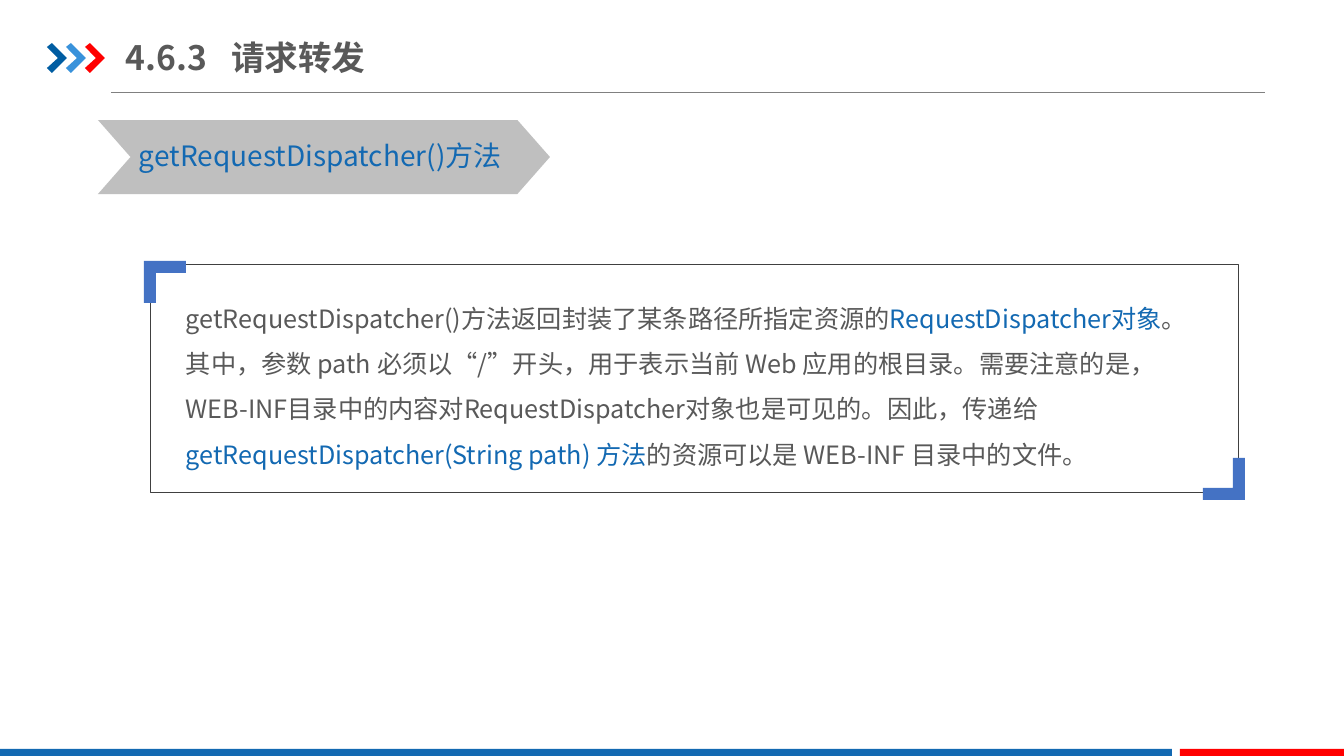
import pptx
import pptx.util
import pptx.dml.color
import pptx.enum.shapes
import pptx.enum.text
import pptx.oxml.ns
import lxml.etree

RGBColor = pptx.dml.color.RGBColor
Kind = pptx.enum.shapes.MSO_SHAPE
Anchor = pptx.enum.text.MSO_ANCHOR
Align = pptx.enum.text.PP_ALIGN
Fit = pptx.enum.text.MSO_AUTO_SIZE

BLUE = RGBColor(0x13, 0x69, 0xB2)
NAVY = RGBColor(0x00, 0x5D, 0xA2)
SKY = RGBColor(0x39, 0x92, 0xDB)
RED = RGBColor(0xFF, 0x00, 0x00)
ROYAL = RGBColor(0x44, 0x72, 0xC4)
SILVER = RGBColor(0xBF, 0xBF, 0xBF)
GREY = RGBColor(0x80, 0x80, 0x80)
INK = RGBColor(0x59, 0x59, 0x59)
DARK = RGBColor(0x40, 0x40, 0x40)

FONT = "Noto Sans CJK SC"
SCALE = 914400 / 100.8

ARROW = [(0, 4), (5, 0), (20, 15), (5, 30), (0, 25), (11, 15)]
CORNER = [(0, 0), (42, 0), (42, 12), (12, 12), (12, 42), (0, 42)]

BODY = [
    ("getRequestDispatcher()方法返回封装了某条路径所指定资源的", INK),
    ("RequestDispatcher对象", BLUE),
    ("。其中，参数 path 必须以“/”开头，用于表示当前 Web 应用的根目录。"
     "需要注意的是，WEB-INF目录中的内容对RequestDispatcher对象也是可见的。"
     "因此，传递给 ", INK),
    ("getRequestDispatcher(String path) 方法", BLUE),
    ("的资源可以是 WEB-INF 目录中的文件。", INK),
]


def px(count):
    return pptx.util.Emu(round(count * SCALE))


def add_tag(parent, tag, **attrs):
    return lxml.etree.SubElement(parent, pptx.oxml.ns.qn(tag), **attrs)


def set_font(font, size, color=None, bold=False):
    font.size = pptx.util.Pt(size)
    font.bold = bold
    font.name = FONT
    if color is not None:
        font.color.rgb = color


def set_asian(para):
    for run in para.runs:
        add_tag(run.font._element, "a:ea", typeface=FONT)


def paint(shape, fill=None, line=None, width=0.25):
    shape.shadow.inherit = False
    if fill is None:
        shape.fill.background()
    else:
        shape.fill.solid()
        shape.fill.fore_color.rgb = fill
    if line is None:
        shape.line.fill.background()
    else:
        shape.line.color.rgb = line
        shape.line.width = pptx.util.Pt(width)


def add_block(slide, kind, box, fill=None, line=None):
    shape = slide.shapes.add_shape(kind, *map(px, box))
    paint(shape, fill, line)
    return shape


def add_free(slide, left, top, points, fill, sign=1):
    spots = [(left + sign * x, top + sign * y) for x, y in points]
    form = slide.shapes.build_freeform(*spots[0], scale=SCALE)
    form.add_line_segments(spots[1:], close=True)
    paint(form.convert_to_shape(), fill)


def add_rule(slide, left, right, top):
    rule = slide.shapes.add_connector(
        pptx.enum.shapes.MSO_CONNECTOR.STRAIGHT,
        px(left), px(top), px(right), px(top))
    rule.line.color.rgb = GREY
    rule.line.width = pptx.util.Pt(0.5)
    add_tag(rule._element.spPr, "a:effectLst")


def add_title(slide, text, box, stop):
    title = slide.shapes.title
    title.left, title.top, title.width, title.height = map(px, box)
    frame = title.text_frame
    frame.auto_size = Fit.NONE
    frame.word_wrap = True
    frame.vertical_anchor = Anchor.MIDDLE
    frame.margin_left = frame.margin_right = 0
    para = frame.paragraphs[0]
    para.text = text
    para.alignment = Align.LEFT
    tabs = add_tag(para._p.get_or_add_pPr(), "a:tabLst")
    add_tag(tabs, "a:tab", pos=str(px(stop)), algn="l")
    set_font(para.font, 24, INK, True)
    set_asian(para)


def add_text(slide, parts, box, size, wrap=True, space=1.0):
    frame = slide.shapes.add_textbox(*map(px, box)).text_frame
    frame.word_wrap = wrap
    frame.auto_size = Fit.NONE if wrap else Fit.SHAPE_TO_FIT_TEXT
    para = frame.paragraphs[0]
    para.line_spacing = space
    shared = parts[0][1] if len(parts) == 1 else None
    set_font(para.font, size, shared)
    for text, color in parts:
        run = para.add_run()
        run.text = text
        if shared is None:
            run.font.color.rgb = color
    set_asian(para)


def main():
    deck = pptx.Presentation()
    deck.slide_width, deck.slide_height = px(1344), px(756)
    slide = deck.slides.add_slide(deck.slide_layouts[5])

    add_rule(slide, 111, 1265, 92)
    for step, color in enumerate((NAVY, SKY, RED)):
        add_free(slide, 47 + 19 * step, 43, ARROW, color)
    add_block(slide, Kind.RECTANGLE, (0, 749, 1172, 7), BLUE)
    add_block(slide, Kind.RECTANGLE, (1180, 749, 164, 7), RED)

    add_title(slide, "4.6.3\t请求转发", (126, 29, 286, 56), 105)
    banner = add_block(slide, Kind.CHEVRON, (98, 120, 452, 74), SILVER)
    banner.adjustments[0] = 0.44
    add_text(slide, [("getRequestDispatcher()方法", BLUE)],
             (129, 134, 393, 44), 20, wrap=False)

    add_text(slide, BODY, (176, 283, 1038, 187), 18, space=1.5)
    add_block(slide, Kind.RECTANGLE, (150, 264, 1088, 228), line=DARK)
    add_free(slide, 144, 261, CORNER, ROYAL)
    add_free(slide, 1245, 500, CORNER, ROYAL, sign=-1)

    deck.save("out.pptx")


if __name__ == "__main__":
    main()
